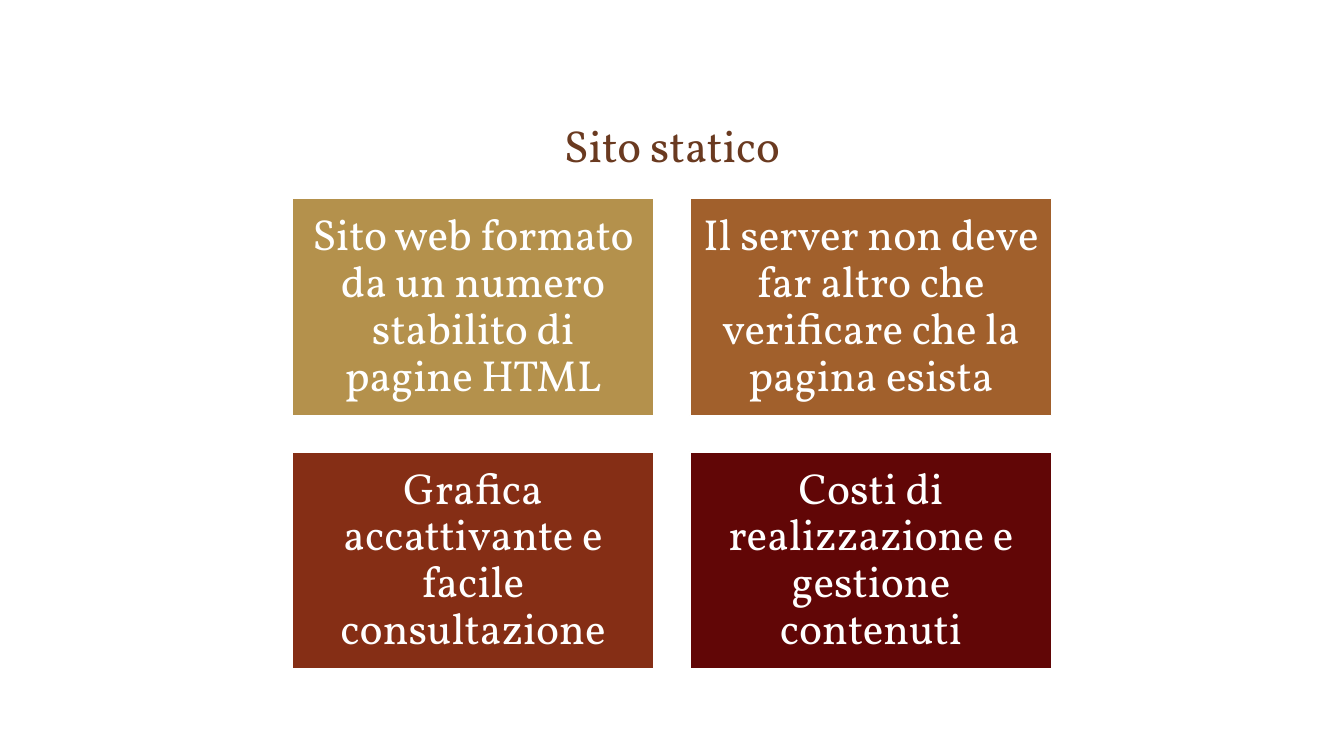
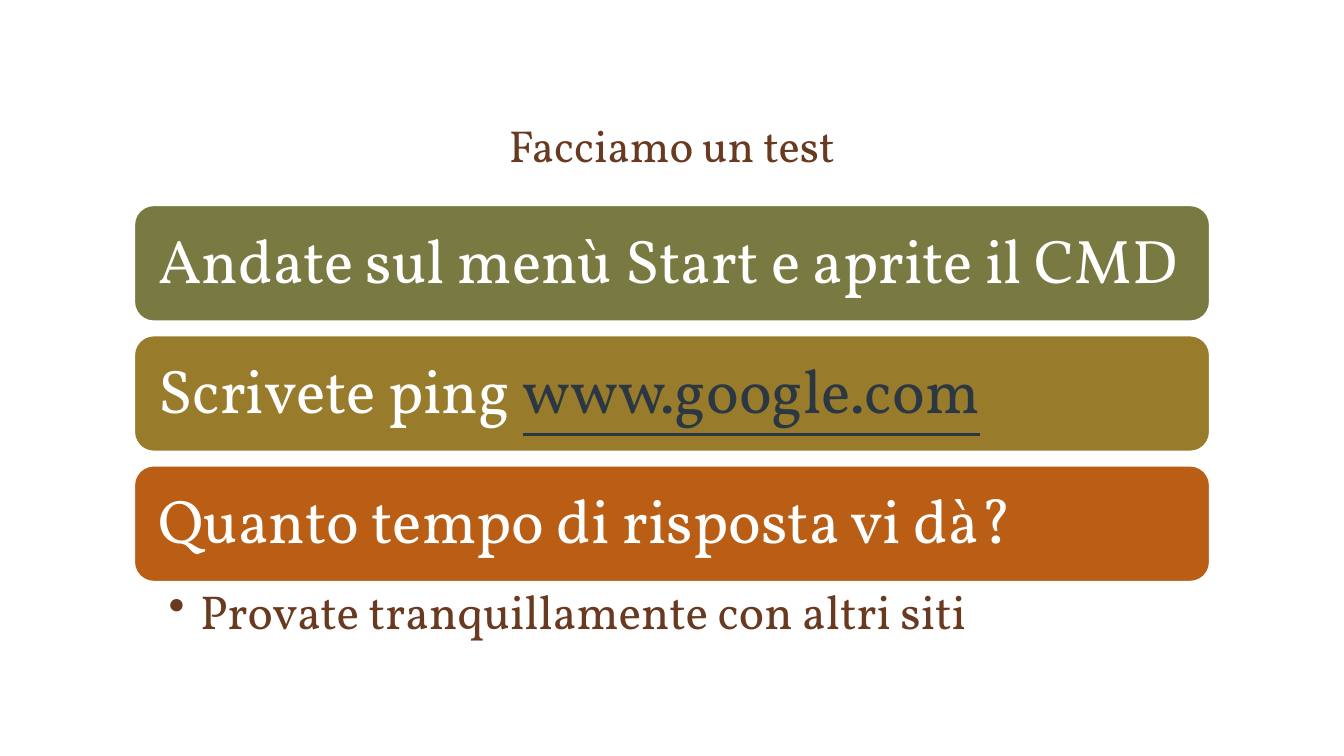
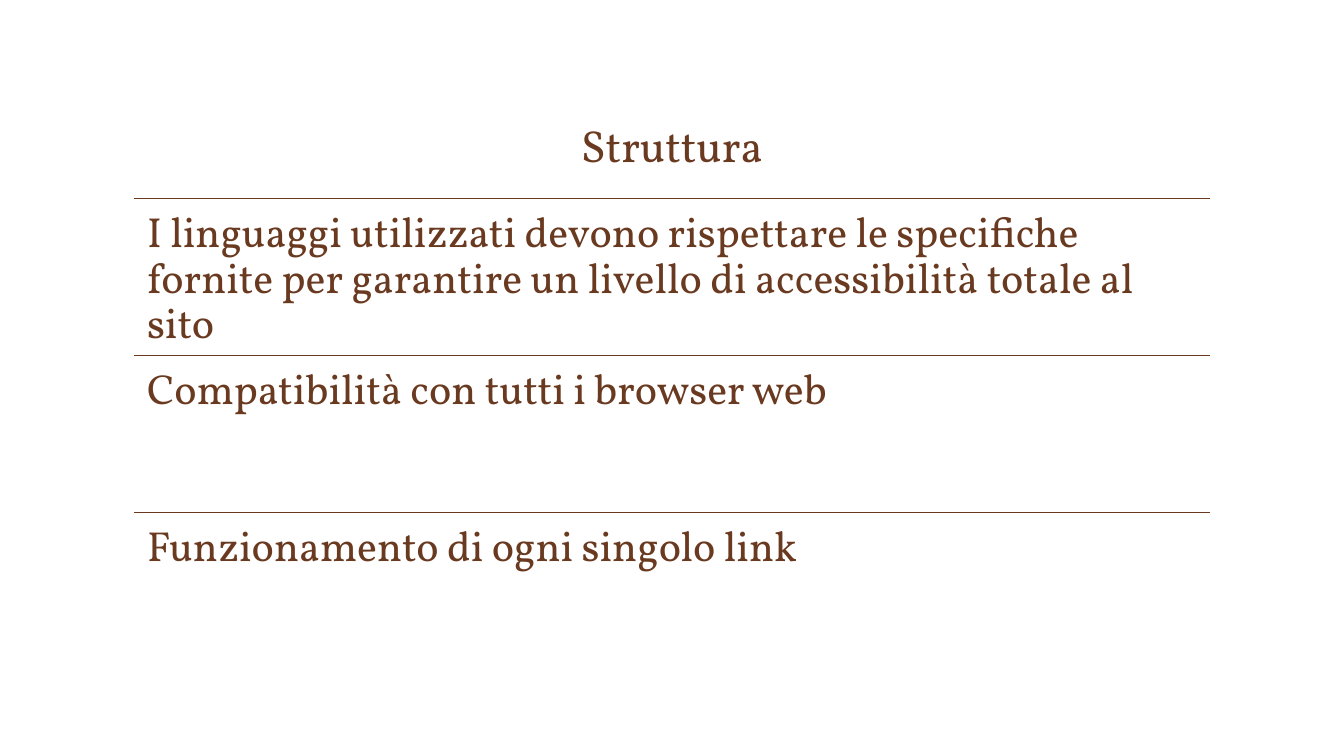
from dataclasses import dataclass

from lxml.etree import SubElement
from pptx import Presentation
from pptx.dml.color import RGBColor
from pptx.enum.shapes import MSO_CONNECTOR, MSO_SHAPE
from pptx.enum.text import MSO_ANCHOR, PP_ALIGN
from pptx.oxml.ns import qn
from pptx.util import Pt


@dataclass(frozen=True)
class Theme:
    font: str = "Vollkorn"
    brown: str = "6A3A20"
    white: str = "FFFFFF"
    link: str = "2B3742"
    title: int = 32
    tile: int = 31
    bar: int = 44
    bullet: int = 34
    row: int = 30
    line: int = 1
    spacing: float = 0.9


THEME = Theme()
SLIDE_W, SLIDE_H = 960, 540
LEFT, WIDTH = 96, 768

TILES = [
    ("Sito web formato da un numero stabilito di pagine HTML", "B4914C"),
    ("Il server non deve far altro che verificare che la pagina esista", "A1602C"),
    ("Grafica accattivante e facile consultazione", "852E15"),
    ("Costi di realizzazione e gestione contenuti", "610606"),
]
STEPS = [
    ([("Andate sul menù Start e aprite il CMD", THEME.white)], "787A41"),
    ([("Scrivete ping ", THEME.white), ("www.google.com", THEME.link)], "987C2C"),
    ([("Quanto tempo di risposta vi dà?", THEME.white)], "B95E14"),
]
STEP_NOTE = "Provate tranquillamente con altri siti"
RULES = [
    "I linguaggi utilizzati devono rispettare le specifiche fornite "
    "per garantire un livello di accessibilità totale al sito",
    "Compatibilità con tutti i browser web",
    "Funzionamento di ogni singolo link",
]


def rgb(value):
    return RGBColor.from_string(value)


def write(s, text, *, size, color=THEME.brown, align=PP_ALIGN.LEFT, anchor=MSO_ANCHOR.TOP,
          inset=(7.2, 3.6), spacing=THEME.spacing, bullet_indent=0):
    """Fill a shape with one paragraph; text is a string or (text, colour) pairs."""
    tf = s.text_frame
    tf.word_wrap = True
    tf.vertical_anchor = anchor
    tf.margin_left = tf.margin_right = Pt(inset[0])
    tf.margin_top = tf.margin_bottom = Pt(inset[1])
    p = tf.paragraphs[0]
    p.alignment = align
    p.line_spacing = spacing
    if bullet_indent:
        props = p._p.get_or_add_pPr()
        props.set("marL", str(Pt(bullet_indent)))
        props.set("indent", str(-Pt(bullet_indent)))
        SubElement(props, qn("a:buChar")).set("char", "•")
    for part, part_color in [(text, color)] if isinstance(text, str) else text:
        r = p.add_run()
        r.text = part
        r.font.name = THEME.font
        r.font.size = Pt(size)
        r.font.color.rgb = rgb(part_color)
        if part_color == THEME.link:
            r.font.underline = True


def add_text(slide, text, x, y, w, h, **fmt):
    write(slide.shapes.add_textbox(Pt(x), Pt(y), Pt(w), Pt(h)), text, **fmt)


def add_panel(slide, kind, text, fill, x, y, w, h, **fmt):
    s = slide.shapes.add_shape(kind, Pt(x), Pt(y), Pt(w), Pt(h))
    s.shadow.inherit = False
    s.fill.solid()
    s.fill.fore_color.rgb = rgb(fill)
    s.line.color.rgb = rgb(THEME.white)
    s.line.width = Pt(THEME.line)
    write(s, text, color=THEME.white, anchor=MSO_ANCHOR.MIDDLE, **fmt)


def add_rule(slide, y):
    line = slide.shapes.add_connector(
        MSO_CONNECTOR.STRAIGHT, Pt(LEFT), Pt(y), Pt(LEFT + WIDTH), Pt(y))
    line.line.color.rgb = rgb(THEME.brown)
    line.line.width = Pt(THEME.line)
    SubElement(line._element.spPr, qn("a:effectLst"))


def add_titled_slide(prs, title):
    slide = prs.slides.add_slide(prs.slide_layouts[6])
    add_text(slide, title, LEFT, 34, WIDTH, 92, size=THEME.title,
             align=PP_ALIGN.CENTER, anchor=MSO_ANCHOR.BOTTOM, spacing=1.0)
    return slide


def add_tiles(slide):
    columns, w, h, gap, top = 2, 258.4, 155, 25.8, 142
    left = (SLIDE_W - columns * w - (columns - 1) * gap) / 2
    for i, (text, fill) in enumerate(TILES):
        row, col = divmod(i, columns)
        add_panel(slide, MSO_SHAPE.RECTANGLE, text, fill,
                  left + col * (w + gap), top + row * (h + gap), w, h,
                  size=THEME.tile, align=PP_ALIGN.CENTER, inset=(9.3, 9.3))


def add_steps(slide):
    top, h, pitch = 146.8, 82.6, 93
    for i, (text, fill) in enumerate(STEPS):
        add_panel(slide, MSO_SHAPE.ROUNDED_RECTANGLE, text, fill,
                  LEFT, top + i * pitch, WIDTH, h, size=THEME.bar, inset=(13.2, 13.2))
    add_text(slide, STEP_NOTE, LEFT, 416, WIDTH, 57.6, size=THEME.bullet,
             inset=(24.4, 4.3), bullet_indent=22.5)


def add_rules(slide):
    top, h = 142, 112
    for i, text in enumerate(RULES):
        y = top + i * h
        add_rule(slide, y)
        add_text(slide, text, LEFT, y, WIDTH, h, size=THEME.row, inset=(9, 9))


SLIDES = [
    ("Sito statico", add_tiles),
    ("Facciamo un test", add_steps),
    ("Struttura", add_rules),
]


def main():
    prs = Presentation()
    prs.slide_width, prs.slide_height = Pt(SLIDE_W), Pt(SLIDE_H)
    for title, add_body in SLIDES:
        add_body(add_titled_slide(prs, title))
    prs.save("out.pptx")


if __name__ == "__main__":
    main()
